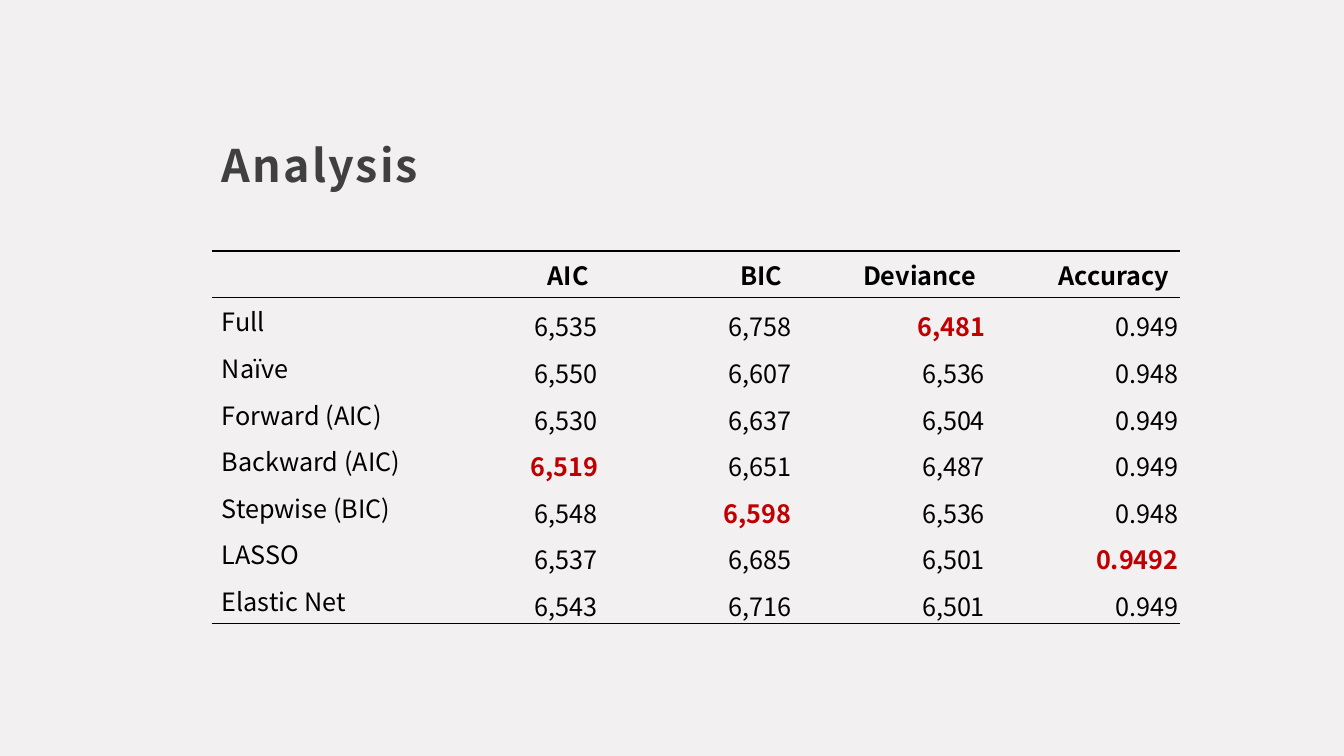
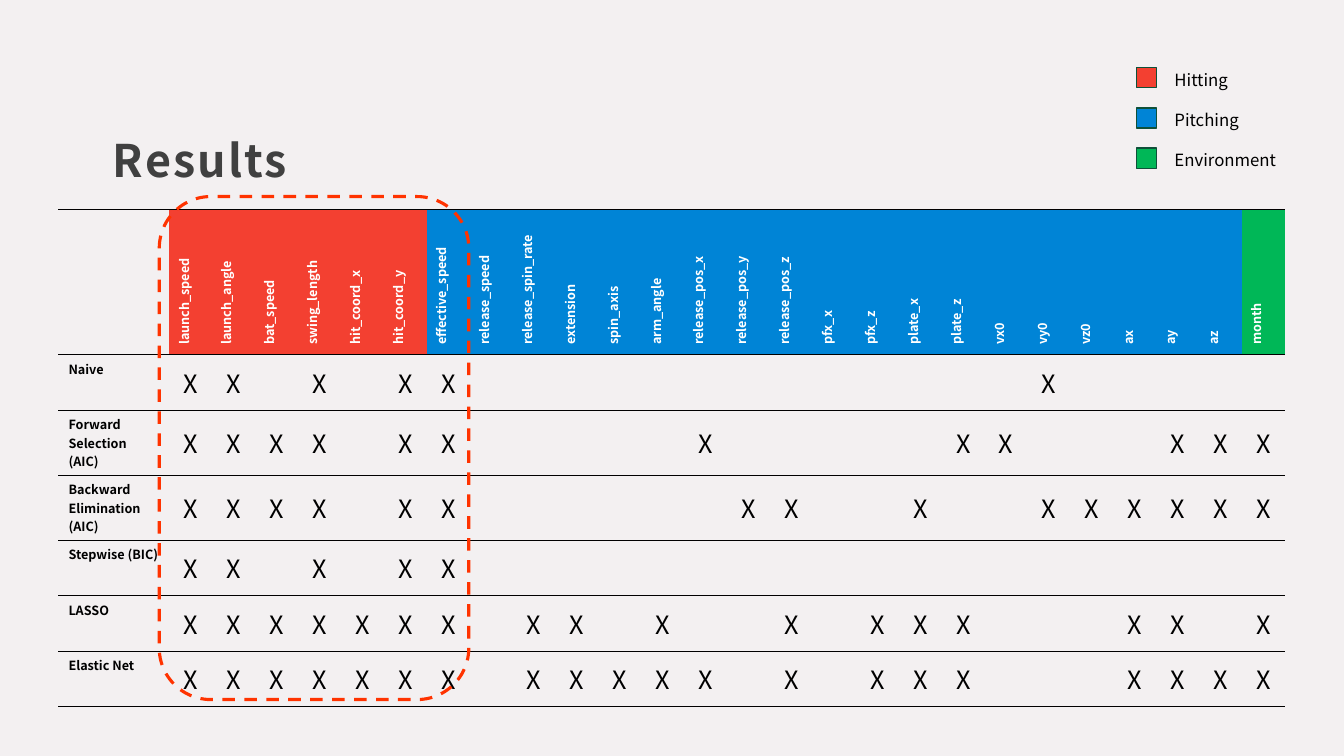
"""Build two slides that compare regression models and their selected features."""
import pptx
import pptx.util
import pptx.dml.color
import pptx.enum.dml
import pptx.enum.shapes
import pptx.enum.text
import pptx.oxml
import pptx.oxml.ns

Inches = pptx.util.Inches
Pt = pptx.util.Pt
ALIGN = pptx.enum.text.PP_ALIGN
ANCHOR = pptx.enum.text.MSO_ANCHOR
SHAPE = pptx.enum.shapes.MSO_SHAPE

FONT = "Noto Sans CJK JP"
BACKGROUND, TITLE, BLACK, WHITE = "F3F0F1", "404040", "000000", "FFFFFF"
BEST, OUTLINE, HIGHLIGHT = "C00000", "0E5039", "FF3300"
RED, BLUE, GREEN = "F34031", "0084D6", "00B757"
PLAIN_TABLE = "{2D5ABB26-0587-4C30-8999-92F81FD0307C}"

SCORES = [
    ("", "AIC", "BIC", "Deviance", "Accuracy"),
    ("Full", "6,535", "6,758", "6,481", "0.949"),
    ("Naïve", "6,550", "6,607", "6,536", "0.948"),
    ("Forward (AIC)", "6,530", "6,637", "6,504", "0.949"),
    ("Backward (AIC)", "6,519", "6,651", "6,487", "0.949"),
    ("Stepwise (BIC)", "6,548", "6,598", "6,536", "0.948"),
    ("LASSO", "6,537", "6,685", "6,501", "0.9492"),
    ("Elastic Net", "6,543", "6,716", "6,501", "0.949"),
]
BEST_SCORES = {"6,519", "6,598", "6,481", "0.9492"}

GROUPS = [
    ("Hitting", RED, "launch_speed launch_angle bat_speed swing_length hit_coord_x hit_coord_y"),
    ("Pitching", BLUE, "effective_speed release_speed release_spin_rate extension spin_axis "
     "arm_angle release_pos_x release_pos_y release_pos_z pfx_x pfx_z plate_x plate_z "
     "vx0 vy0 vz0 ax ay az"),
    ("Environment", GREEN, "month"),
]
FEATURES = [(name, color) for _, color, names in GROUPS for name in names.split()]
SELECTED = {
    "Naive": {1, 2, 4, 6, 7, 21},
    "Forward Selection (AIC)": {1, 2, 3, 4, 6, 7, 13, 19, 20, 24, 25, 26},
    "Backward Elimination (AIC)": {1, 2, 3, 4, 6, 7, 14, 15, 18, *range(21, 27)},
    "Stepwise (BIC)": {1, 2, 4, 6, 7},
    "LASSO": {*range(1, 8), 9, 10, 12, 15, 17, 18, 19, 23, 24, 26},
    "Elastic Net": {*range(1, 8), *range(9, 14), 15, 17, 18, 19, *range(23, 27)},
}


def rgb(value):
    """Turn a hex string into a colour."""
    return pptx.dml.color.RGBColor.from_string(value)


def write(tf, text, size=18, color=BLACK, bold=False, align=ALIGN.LEFT, spacing=None, track=None):
    """Put one formatted run into a text frame."""
    p = tf.paragraphs[0]
    p.alignment = align
    if spacing:
        p.line_spacing = spacing
    r = p.add_run()
    r.text = text
    r.font.name, r.font.size, r.font.bold = FONT, Pt(size), bold
    r.font.color.rgb = rgb(color)
    if track:
        r.font._element.set("spc", str(int(track * 100)))


def set_margins(target, left, top, right, bottom):
    """Set the four insets of a text frame or cell."""
    target.margin_left, target.margin_top = Inches(left), Inches(top)
    target.margin_right, target.margin_bottom = Inches(right), Inches(bottom)


class Deck:
    """Holds the presentation, its style and the current slide."""

    def __init__(self):
        """Start a widescreen presentation with a plain background."""
        self.prs = pptx.Presentation()
        self.prs.slide_width, self.prs.slide_height = Inches(13.33), Inches(7.5)
        fill = self.prs.slide_master.background.fill
        fill.solid()
        fill.fore_color.rgb = rgb(BACKGROUND)
        self.s = None

    def slide(self, title, left, margins):
        """Add a slide with its title."""
        self.s = self.prs.slides.add_slide(self.prs.slide_layouts[5])
        sp = self.s.shapes.title
        sp.left, sp.top, sp.width, sp.height = map(Inches, (left, 0.48, 9.59, 1.47))
        tf = sp.text_frame
        tf.word_wrap, tf.auto_size = True, pptx.enum.text.MSO_AUTO_SIZE.NONE
        tf.vertical_anchor = ANCHOR.BOTTOM
        set_margins(tf, *margins)
        write(tf, title, size=32, color=TITLE, bold=True, spacing=1.3, track=1.5)

    def table(self, left, top, cols, rows):
        """Add an unstyled table with the given column widths and row heights."""
        box = map(Inches, (left, top, sum(cols), sum(rows)))
        tbl = self.s.shapes.add_table(len(rows), len(cols), *box).table
        tbl.first_row = tbl.horz_banding = False
        tbl._tbl.tblPr.find(pptx.oxml.ns.qn("a:tableStyleId")).text = PLAIN_TABLE
        for col, width in zip(tbl.columns, cols):
            col.width = Inches(width)
        for row, height in zip(tbl.rows, rows):
            row.height = Inches(height)
        for cell in tbl.iter_cells():
            cell.fill.background()
        return tbl

    def rule(self, row, *sides):
        """Draw thin rules on the sides (T, then B) of a table row."""
        for cell in row.cells:
            tcPr = cell._tc.get_or_add_tcPr()
            for i, side in enumerate(sides):
                tcPr.insert(i, pptx.oxml.parse_xml(
                    f'<a:ln{side} {pptx.oxml.ns.nsdecls("a")} w="12700"><a:solidFill>'
                    f'<a:srgbClr val="{BLACK}"/></a:solidFill></a:ln{side}>'))

    def cell(self, cell, text, anchor=ANCHOR.TOP, fill=None, vertical=False, **fmt):
        """Fill one table cell with text."""
        write(cell.text_frame, text, **fmt)
        cell.vertical_anchor = anchor
        if fill:
            cell.fill.solid()
            cell.fill.fore_color.rgb = rgb(fill)
        if vertical:
            cell._tc.get_or_add_tcPr().set("vert", "vert270")

    def shape(self, shapes, kind, box, line, width, fill=None, dash=None):
        """Add a preset shape to the slide or to a group."""
        sp = shapes.add_shape(kind, *map(Inches, box))
        sp.shadow.inherit = False
        if fill:
            sp.fill.solid()
            sp.fill.fore_color.rgb = rgb(fill)
        else:
            sp.fill.background()
        sp.line.color.rgb, sp.line.width = rgb(line), Pt(width)
        if dash:
            sp.line.dash_style = dash

    def legend(self, left, top, step, entries):
        """Add a grouped column of colour swatches with labels."""
        shapes = self.s.shapes.add_group_shape().shapes
        for i, (label, color) in enumerate(entries):
            y = top + i * step
            self.shape(shapes, SHAPE.RECTANGLE, (left, y, 0.2, 0.2), OUTLINE, 1, fill=color)
            sp = shapes.add_textbox(*map(Inches, (left + 0.28, y - 0.03, 1.31, 0.3)))
            sp.text_frame.word_wrap = True
            write(sp.text_frame, label, size=12)


def analysis(deck):
    """Build the table of model scores."""
    deck.slide("Analysis", 2.1, (0.1, 0.05, 0.1, 0.05))
    tbl = deck.table(2.1, 2.49, [2.25, 1.59] + [1.92] * 3, [0.44] * len(SCORES))
    for i, scores in enumerate(SCORES):
        for j, text in enumerate(scores):
            cell = tbl.cell(i, j)
            if j == 0:
                if text:
                    deck.cell(cell, text)
                continue
            best = text in BEST_SCORES
            deck.cell(cell, text, ANCHOR.BOTTOM, align=ALIGN.RIGHT,
                      bold=best or i == 0, color=BEST if best else BLACK)
            if i:
                set_margins(cell, 0.01, 0.01, 0.01, 0)
    deck.rule(tbl.rows[0], "T", "B")
    deck.rule(tbl.rows[len(SCORES) - 1], "B")


def results(deck):
    """Build the matrix of features that each model selects."""
    deck.slide("Results", 1, (0.12, 0.12, 0.12, 0.1))
    label_width, width, count = 1.1, 12.17, len(FEATURES)
    cols = [label_width] + [(width - label_width) / count] * count
    tbl = deck.table(0.58, 2.08, cols, [1.44] + [0.55] * len(SELECTED))
    for j, (name, color) in enumerate(FEATURES, 1):
        deck.cell(tbl.cell(0, j), name, ANCHOR.MIDDLE, fill=color, vertical=True,
                  size=9, color=WHITE, bold=True)
    for i, (model, chosen) in enumerate(SELECTED.items(), 1):
        deck.cell(tbl.cell(i, 0), model, size=9, bold=True)
        for j in chosen:
            deck.cell(tbl.cell(i, j), "X", ANCHOR.MIDDLE, align=ALIGN.CENTER)
    for row in tbl.rows:
        deck.rule(row, "T", "B")
    deck.legend(11.27, 0.67, 0.4, [(label, color) for label, color, _ in GROUPS])
    deck.shape(deck.s.shapes, SHAPE.ROUNDED_RECTANGLE, (1.58, 1.95, 3.07, 4.99), HIGHLIGHT, 2.25,
               dash=pptx.enum.dml.MSO_LINE.DASH)


def main():
    """Build and save the presentation."""
    deck = Deck()
    analysis(deck)
    results(deck)
    deck.prs.save("out.pptx")


if __name__ == "__main__":
    main()
